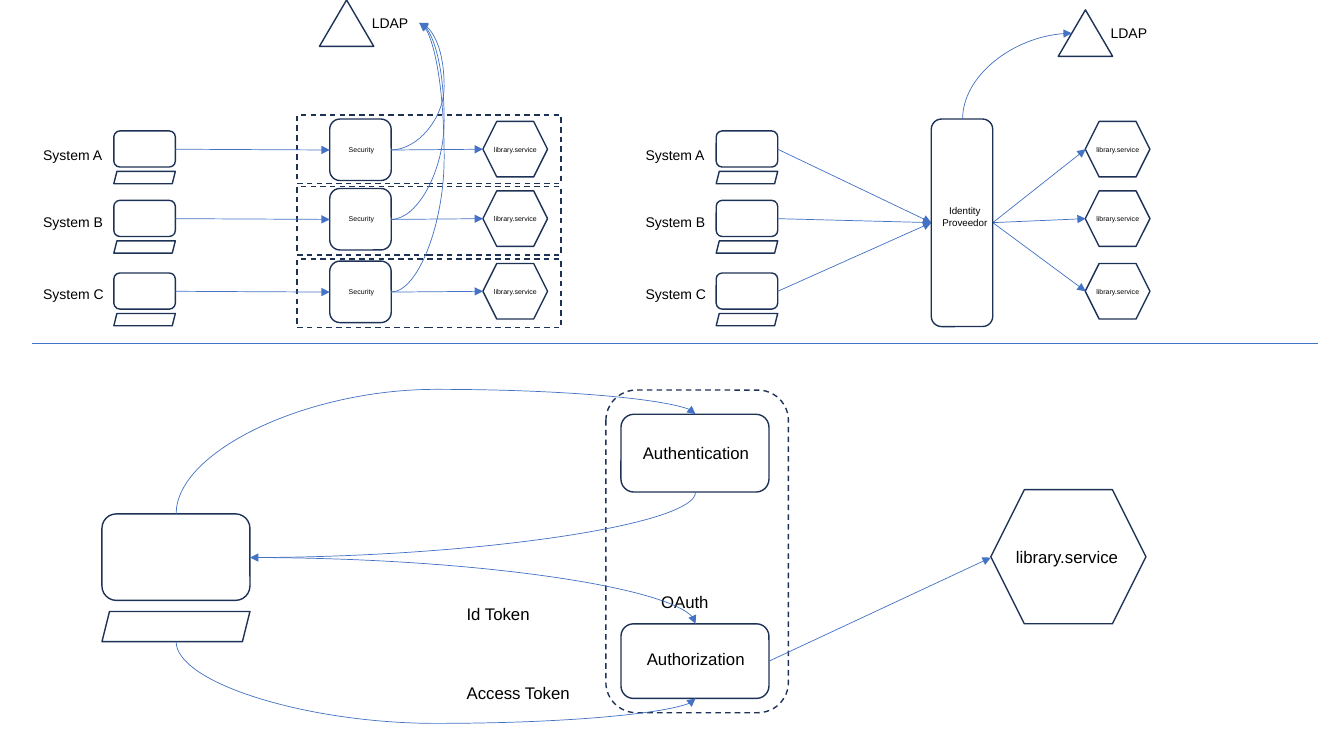
from lxml import etree
from pptx import Presentation
from pptx import util as u
from pptx.dml.color import RGBColor
from pptx.enum import dml, shapes, text
from pptx.oxml import ns

NAVY = RGBColor(0x1E, 0x32, 0x56)
BLUE = RGBColor(0x44, 0x72, 0xC4)
BLACK = RGBColor(0, 0, 0)
KIND = shapes.MSO_SHAPE
LINK = shapes.MSO_CONNECTOR


class Sketch:
    font = "Arial"

    def __init__(self, slide):
        self.items = slide.shapes

    def shape(self, kind, x, y, w, h, dash=False):
        item = self.items.add_shape(kind, u.Cm(x), u.Cm(y), u.Cm(w), u.Cm(h))
        item.shadow.inherit = False
        item.fill.background()
        item.line.color.rgb = NAVY
        item.line.width = u.Pt(1)
        if dash:
            item.line.dash_style = dml.MSO_LINE.DASH

    def label(self, lines, x, y, w, h, size, align=text.PP_ALIGN.LEFT):
        box = self.items.add_textbox(u.Cm(x), u.Cm(y), u.Cm(w), u.Cm(h))
        frame = box.text_frame
        frame.word_wrap = False
        frame.auto_size = text.MSO_AUTO_SIZE.SHAPE_TO_FIT_TEXT
        for i, line in enumerate(lines):
            para = frame.add_paragraph() if i else frame.paragraphs[0]
            para.alignment = align
            run = para.add_run()
            run.text = line
            run.font.name = self.font
            run.font.size = u.Pt(size)
            run.font.color.rgb = BLACK

    def line(self, start, end, kind=LINK.STRAIGHT, arrow=True):
        ends = [u.Cm(v) for v in (*start, *end)]
        link = self.items.add_connector(kind, *ends)
        link.line.color.rgb = BLUE
        link.line.width = u.Pt(0.5)
        props = link.element.spPr
        if arrow:
            stroke = props.find(ns.qn("a:ln"))
            etree.SubElement(stroke, ns.qn("a:tailEnd"), type="triangle")
        etree.SubElement(props, ns.qn("a:effectLst"))
        return props

    def curve(self, start, end, turn=0, flip="", bend=None):
        (x1, y1), (x2, y2) = start, end
        mid_x, mid_y = (x1 + x2) / 2, (y1 + y2) / 2
        half_w, half_h = abs(x2 - x1) / 2, abs(y2 - y1) / 2
        if turn % 180:
            half_w, half_h = half_h, half_w
        if "h" in flip:
            half_w = -half_w
        if "v" in flip:
            half_h = -half_h
        props = self.line((mid_x - half_w, mid_y - half_h),
                          (mid_x + half_w, mid_y + half_h), LINK.CURVE)
        if turn:
            props.find(ns.qn("a:xfrm")).set("rot", str(turn * 60000))
        geom = props.find(ns.qn("a:prstGeom"))
        if bend is None:
            geom.set("prst", "curvedConnector2")
        else:
            etree.SubElement(geom.find(ns.qn("a:avLst")), ns.qn("a:gd"),
                             name="adj1", fmla=f"val {round(bend * 100000)}")

    def client(self, x, y, w, h, gap, base):
        self.shape(KIND.ROUNDED_RECTANGLE, x, y, w, h)
        self.shape(KIND.PARALLELOGRAM, x, y + h + gap, w, base)

    def system(self, name, x, y, name_y):
        self.label([name], x, name_y, 2.03, 0.69, 10)
        self.client(x + 2.03, y - 0.46, 1.55, 0.91, 0.11, 0.31)
        self.shape(KIND.HEXAGON, x + 11.33, y - 0.7, 1.63, 1.4)
        self.label(["library.service"], x + 11.36, y - 0.22, 1.66, 0.48, 5)

    def ldap(self, x, y):
        self.shape(KIND.ISOSCELES_TRIANGLE, x, y, 1.37, 1.17)
        self.label(["LDAP"], x + 1.07, y + 0.25, 1.45, 0.69, 10)


def main():
    deck = Presentation()
    deck.slide_width, deck.slide_height = u.Cm(33.87), u.Cm(19.05)
    art = Sketch(deck.slides.add_slide(deck.slide_layouts[6]))

    left, right = 0.84, 16.02
    hub = 5.61
    rows = [("System A", 3.76, 3.56, 2.9),
            ("System B", 5.51, 5.26, 4.7),
            ("System C", 7.34, 7.06, 6.53)]
    for name, y, name_y, zone_y in rows:
        art.system(name, left, y, name_y)
        art.shape(KIND.RECTANGLE, 7.49, zone_y, 6.65, 1.73, dash=True)
        art.shape(KIND.ROUNDED_RECTANGLE, 8.31, y - 0.76, 1.55, 1.55)
        art.label(["Security"], 8.46, y - 0.22, 1.3, 0.48, 5,
                  text.PP_ALIGN.CENTER)
        art.line((4.42, y), (8.31, y + 0.02))
        art.line((9.86, y + 0.02), (12.17, y))
        art.curve((9.86, y + 0.02), (10.57, 0.58), flip="v", bend=1.88)

        art.system(name, right, y, name_y)
        art.line((19.6, y), (23.47, hub))
        art.line((25.02, hub), (27.36, y))

    art.ldap(8.05, 0)
    art.ldap(26.67, 0.25)
    art.shape(KIND.ROUNDED_RECTANGLE, 23.47, 3, 1.55, 5.23)
    art.label(["Identity", "Proveedor"], 23.44, 5.03, 1.75, 0.86, 7,
              text.PP_ALIGN.CENTER)
    art.curve((24.26, 3), (27.01, 0.84), 90, "hv")

    art.line((0.81, 8.64), (33.22, 8.64), arrow=False)

    art.client(2.57, 12.95, 3.73, 2.18, 0.28, 0.76)
    art.shape(KIND.ROUNDED_RECTANGLE, 15.27, 9.83, 4.6, 8.13, dash=True)
    art.shape(KIND.ROUNDED_RECTANGLE, 15.65, 10.44, 3.73, 1.96)
    art.shape(KIND.ROUNDED_RECTANGLE, 15.65, 15.72, 3.73, 1.88)
    art.shape(KIND.HEXAGON, 24.97, 12.34, 3.91, 3.38)
    for word, x, y, w in [("Authentication", 15.95, 11.02, 3.2),
                          ("Authorization", 16.05, 16.21, 3),
                          ("OAuth", 16.41, 14.79, 1.73),
                          ("Id Token", 11.51, 15.09, 2.11),
                          ("Access Token", 11.51, 17.07, 3.15),
                          ("library.service", 25.35, 13.65, 3.1)]:
        art.label([word], x, y, w, 0.76, 12)

    screen = (6.3, 14.05)
    art.curve((4.44, 12.95), (17.53, 10.44), 90, "hv", 1.25)
    art.curve((17.53, 12.4), screen, 90)
    art.curve(screen, (17.53, 15.72))
    art.curve((4.44, 16.17), (17.53, 17.6), 270, "h", 1.44)
    art.line((19.38, 16.66), (24.97, 14.05))

    deck.save("out.pptx")


if __name__ == "__main__":
    main()
